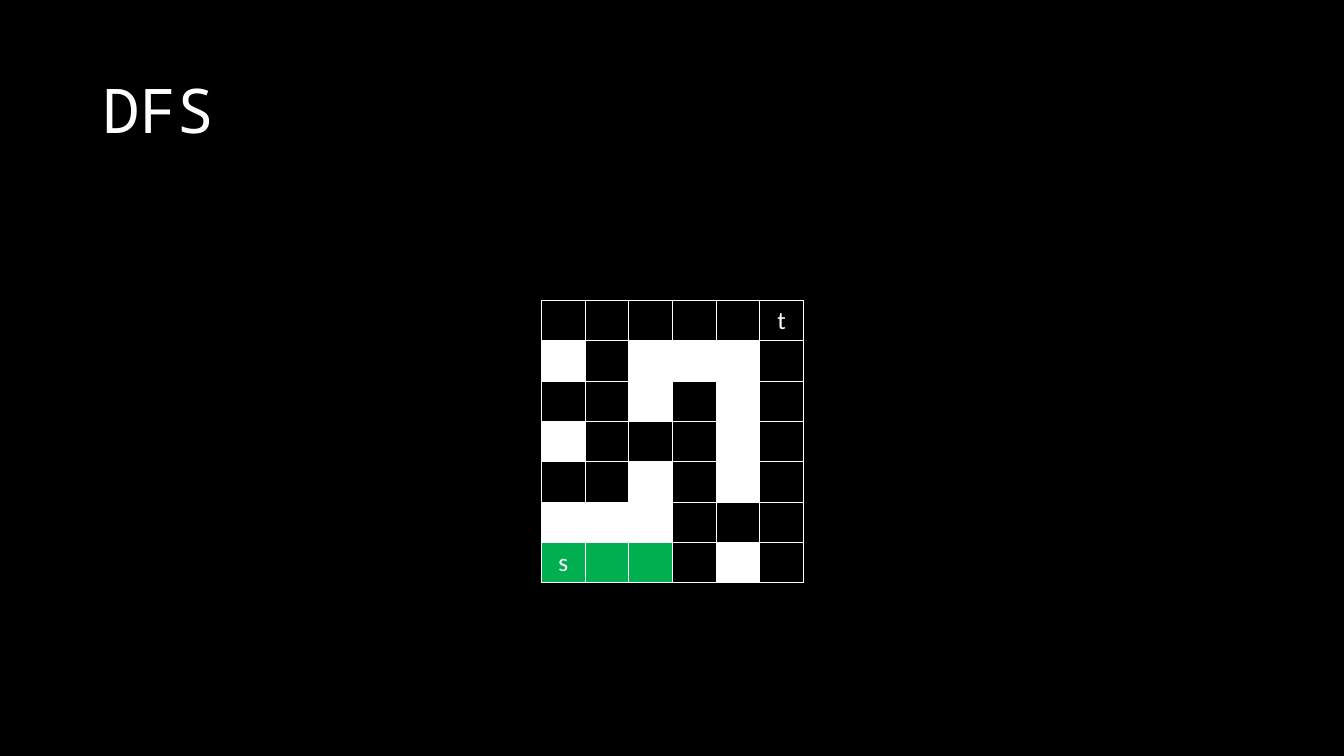
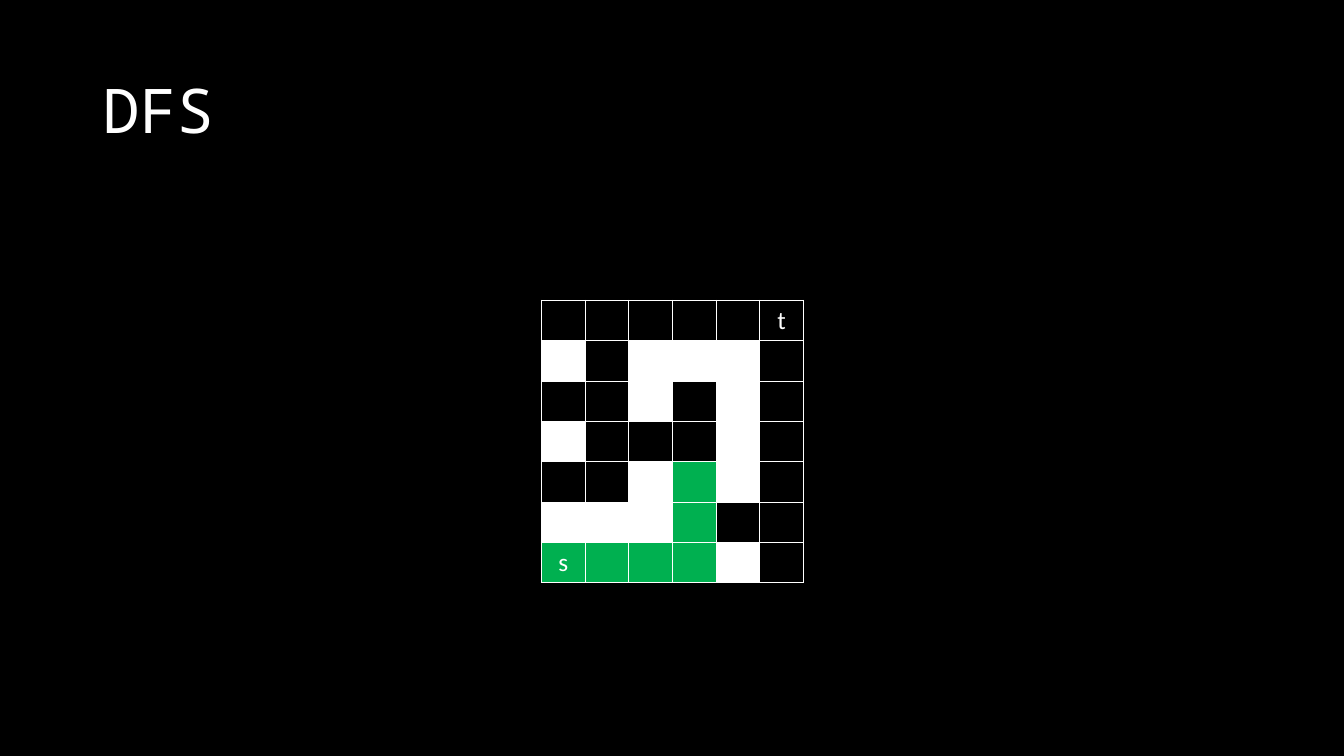
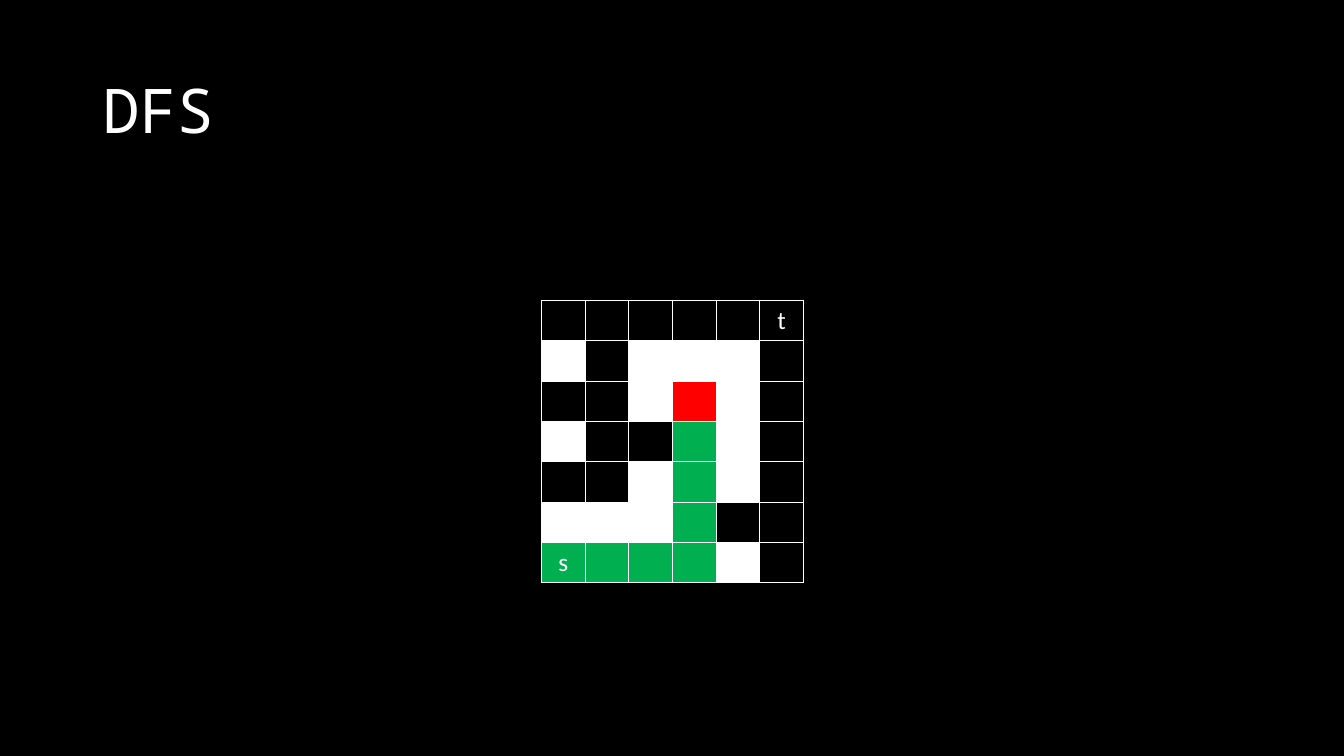
from dataclasses import dataclass

import pptx
import pptx.dml.color
import pptx.enum.text
import pptx.oxml
import pptx.oxml.ns
import pptx.slide
import pptx.table
import pptx.text.text
import pptx.util
from pptx.util import Inches

BLACK = "000000"
WHITE = "FFFFFF"
GREEN = "00B050"
RED = "FF0000"
TITLE_FONT = "Noto Sans Mono"
LABEL_FONT = "Calibri"

# "#" is a wall, "." is free, "s" is the start and "t" is the target.
MAZE = (
    ".....t",
    "#.###.",
    "..#.#.",
    "#...#.",
    "..#.#.",
    "###...",
    "s...#.",
)
# The search runs right along the bottom row, then up the fourth column.
ROUTE = [(6, col) for col in range(4)] + [(row, 3) for row in range(5, 1, -1)]


@dataclass(frozen=True)
class Step:
    visited: int
    dead_end: bool = False


STEPS = (Step(3), Step(6), Step(8, dead_end=True))


def rgb(colour: str) -> pptx.dml.color.RGBColor:
    return pptx.dml.color.RGBColor.from_string(colour)


def style_text(p: pptx.text.text._Paragraph, font: str, size: int) -> None:
    for r in p.runs:
        r.font.name = font
        r.font.size = pptx.util.Pt(size)
        r.font.color.rgb = rgb(WHITE)


def add_title(s: pptx.slide.Slide, text: str) -> None:
    tf = s.shapes.add_textbox(
        Inches(0.92), Inches(0.4), Inches(11.5), Inches(1.45)
    ).text_frame
    tf.word_wrap = True
    tf.vertical_anchor = pptx.enum.text.MSO_ANCHOR.MIDDLE
    tf.text = text
    p = tf.paragraphs[0]
    p.line_spacing = 0.9
    style_text(p, TITLE_FONT, 44)


def add_borders(cell: pptx.table._Cell) -> None:
    """Draw all four cell borders; call before the fill is set."""
    properties = cell._tc.get_or_add_tcPr()
    for side in "LRTB":
        properties.append(pptx.oxml.parse_xml(
            f'<a:ln{side} {pptx.oxml.ns.nsdecls("a")} w="{pptx.util.Pt(1)}">'
            f'<a:solidFill><a:srgbClr val="{WHITE}"/></a:solidFill></a:ln{side}>'
        ))


def step_colours(step: Step) -> dict[tuple[int, int], str]:
    route = ROUTE[:step.visited]
    colours = dict.fromkeys(route, GREEN)
    if step.dead_end:
        colours[route[-1]] = RED
    return colours


def add_maze(s: pptx.slide.Slide, step: Step) -> None:
    table = s.shapes.add_table(
        len(MAZE), len(MAZE[0]), Inches(5.37), Inches(2.98), Inches(2.6), Inches(2.8)
    ).table
    table.first_row = False
    table.horz_banding = False
    colours = step_colours(step)
    for row, line in enumerate(MAZE):
        for col, mark in enumerate(line):
            cell = table.cell(row, col)
            add_borders(cell)
            colour = WHITE if mark == "#" else colours.get((row, col))
            if colour:
                cell.fill.solid()
                cell.fill.fore_color.rgb = rgb(colour)
            else:
                cell.fill.background()
            if mark.isalpha():
                cell.text_frame.text = mark
                p = cell.text_frame.paragraphs[0]
                p.alignment = pptx.enum.text.PP_ALIGN.CENTER
                style_text(p, LABEL_FONT, 18)


def main() -> None:
    prs = pptx.Presentation()
    prs.slide_width = Inches(13.33)
    prs.slide_height = Inches(7.5)
    background = prs.slide_master.background.fill
    background.solid()
    background.fore_color.rgb = rgb(BLACK)
    for step in STEPS:
        s = prs.slides.add_slide(prs.slide_layouts[6])
        add_title(s, "DFS")
        add_maze(s, step)
    prs.save("out.pptx")


if __name__ == "__main__":
    main()
